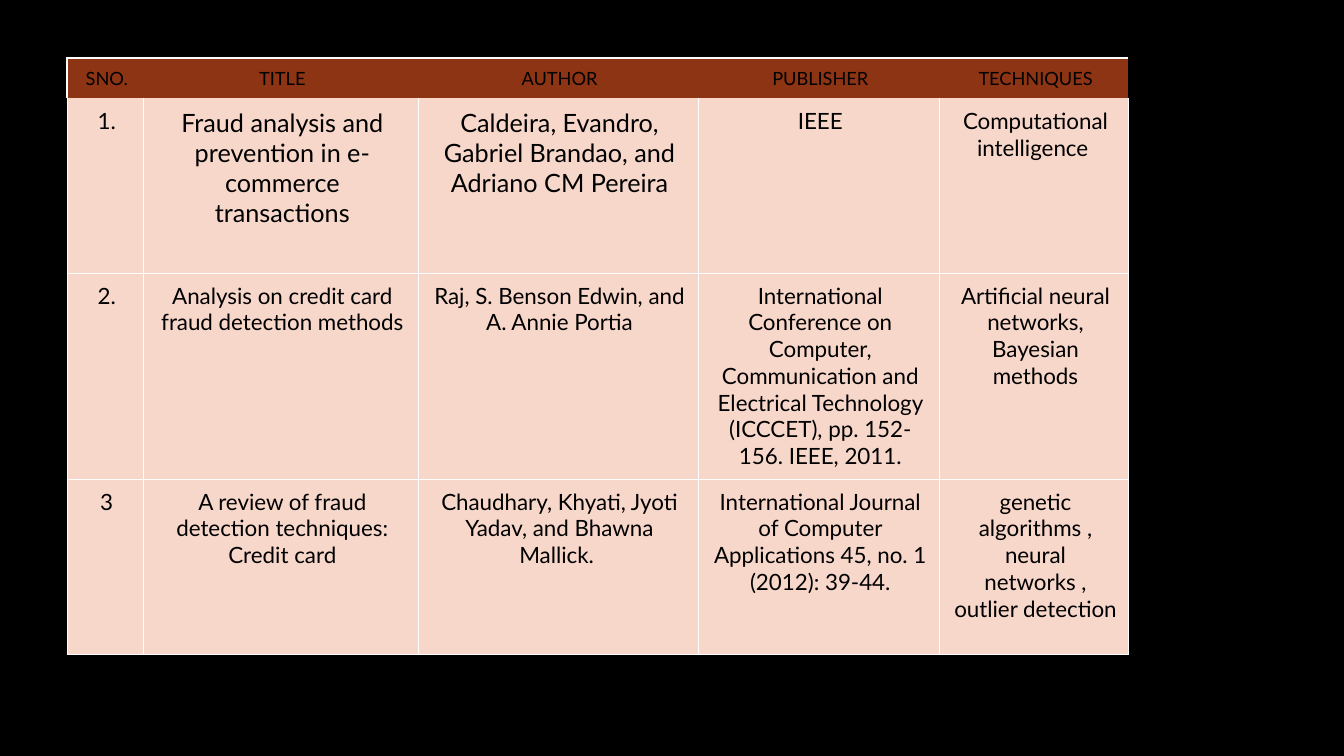
import dataclasses

import lxml.etree
import pptx
import pptx.dml.color
import pptx.enum.text
import pptx.oxml.ns
import pptx.util


@dataclasses.dataclass(frozen=True)
class Theme:
    """Colours, font and type sizes of the deck."""
    background: str = "000000"
    header_fill: str = "8D3414"
    body_fill: str = "F8D7CB"
    rule: str = "FFFFFF"
    text: str = "000000"
    font: str = "Lato"
    header_size: int = 13
    body_size: int = 16
    large_size: int = 18
    frame_width: float = 1.5
    grid_width: float = 0.5


class SlideBuilder:
    """Holds the theme and the current page; lengths are percent of the page."""

    def __init__(self, deck, theme):
        """Add a blank page with the theme's background."""
        self.deck = deck
        self.theme = theme
        self.page = deck.slides.add_slide(deck.slide_layouts[6])
        self.paint(self.page.background.fill, theme.background)

    def across(self, percent):
        """Convert a share of the page width."""
        return round(self.deck.slide_width * percent / 100)

    def down(self, percent):
        """Convert a share of the page height."""
        return round(self.deck.slide_height * percent / 100)

    def paint(self, fill, color):
        """Make a fill solid."""
        fill.solid()
        fill.fore_color.rgb = pptx.dml.color.RGBColor.from_string(color)

    def table(self, left, top, columns, heights, rows, large_cells):
        """Add a table with a header row and a ruled body."""
        frame = self.page.shapes.add_table(
            len(rows), len(columns), self.across(left), self.down(top),
            self.across(sum(columns)), self.down(sum(heights)))
        table = frame.table
        table.first_row = table.horz_banding = False
        for column, width in zip(table.columns, columns):
            column.width = self.across(width)
        for row, height in zip(table.rows, heights):
            row.height = self.down(height)
        for r, texts in enumerate(rows):
            for c, text in enumerate(texts):
                cell = table.cell(r, c)
                if r == 0:
                    self.header_cell(cell, text, first=c == 0)
                else:
                    self.body_cell(cell, text, r, (r, c) in large_cells)

    def header_cell(self, cell, text, first):
        """Fill a heading cell, framed at the top and outer left."""
        frame = self.theme.frame_width
        self.borders(cell, L=frame if first else 0, T=frame)
        self.paint(cell.fill, self.theme.header_fill)
        cell.vertical_anchor = pptx.enum.text.MSO_ANCHOR.MIDDLE
        self.cell_text(cell, text, self.theme.header_size)

    def body_cell(self, cell, text, row, large):
        """Fill a body cell with thin rules around it."""
        thin = self.theme.grid_width
        self.borders(cell, L=thin, R=thin, T=thin if row > 1 else 0, B=thin)
        self.paint(cell.fill, self.theme.body_fill)
        self.cell_text(cell, text, self.theme.large_size if large else self.theme.body_size)

    def borders(self, cell, **widths):
        """Set the four edges of a cell; an edge without a width is hidden."""
        properties = cell._tc.get_or_add_tcPr()
        qn = pptx.oxml.ns.qn
        for side in "LRTB":
            width = widths.get(side, 0)
            line = lxml.etree.SubElement(properties, qn("a:ln" + side))
            if width:
                line.set("w", str(int(pptx.util.Pt(width))))
                solid = lxml.etree.SubElement(line, qn("a:solidFill"))
                lxml.etree.SubElement(solid, qn("a:srgbClr"), val=self.theme.rule)
            else:
                lxml.etree.SubElement(line, qn("a:noFill"))

    def cell_text(self, cell, text, size):
        """Put centred text in a cell."""
        cell.margin_left = pptx.util.Inches(0.12)
        cell.margin_right = cell.margin_top = cell.margin_bottom = pptx.util.Inches(0.09)
        cell.text_frame.text = text
        for para in cell.text_frame.paragraphs:
            para.alignment = pptx.enum.text.PP_ALIGN.CENTER
            for span in para.runs:
                span.font.name = self.theme.font
                span.font.size = pptx.util.Pt(size)
                span.font.color.rgb = pptx.dml.color.RGBColor.from_string(self.theme.text)


LITERATURE = [
    ["SNO.", "TITLE", "AUTHOR", "PUBLISHER", "TECHNIQUES"],
    ["1.", "Fraud analysis and prevention in e-commerce transactions",
     "Caldeira, Evandro, Gabriel Brandao, and Adriano CM Pereira",
     "IEEE", "Computational\nintelligence "],
    ["2.", "Analysis on credit card fraud detection methods",
     "Raj, S. Benson Edwin, and A. Annie Portia",
     "International Conference on Computer, Communication and Electrical "
     "Technology (ICCCET), pp. 152-156. IEEE, 2011.",
     "Artificial neural networks,\nBayesian methods"],
    ["3", "A review of fraud detection techniques: Credit card",
     "Chaudhary, Khyati, Jyoti Yadav, and Bhawna Mallick. ",
     "International Journal of Computer Applications 45, no. 1 (2012): 39-44.",
     "genetic algorithms , neural networks , outlier detection"],
]


def main():
    """Build the literature survey page and save the deck."""
    deck = pptx.Presentation()
    deck.slide_width = pptx.util.Inches(13.33)
    deck.slide_height = pptx.util.Inches(7.5)
    builder = SlideBuilder(deck, Theme())
    builder.table(
        left=4.98, top=7.68,
        columns=[5.7, 20.44, 20.81, 18, 14.03],
        heights=[5.33, 23.12, 27.25, 23.12],
        rows=LITERATURE, large_cells={(1, 1), (1, 2)})
    deck.save("out.pptx")


main()
